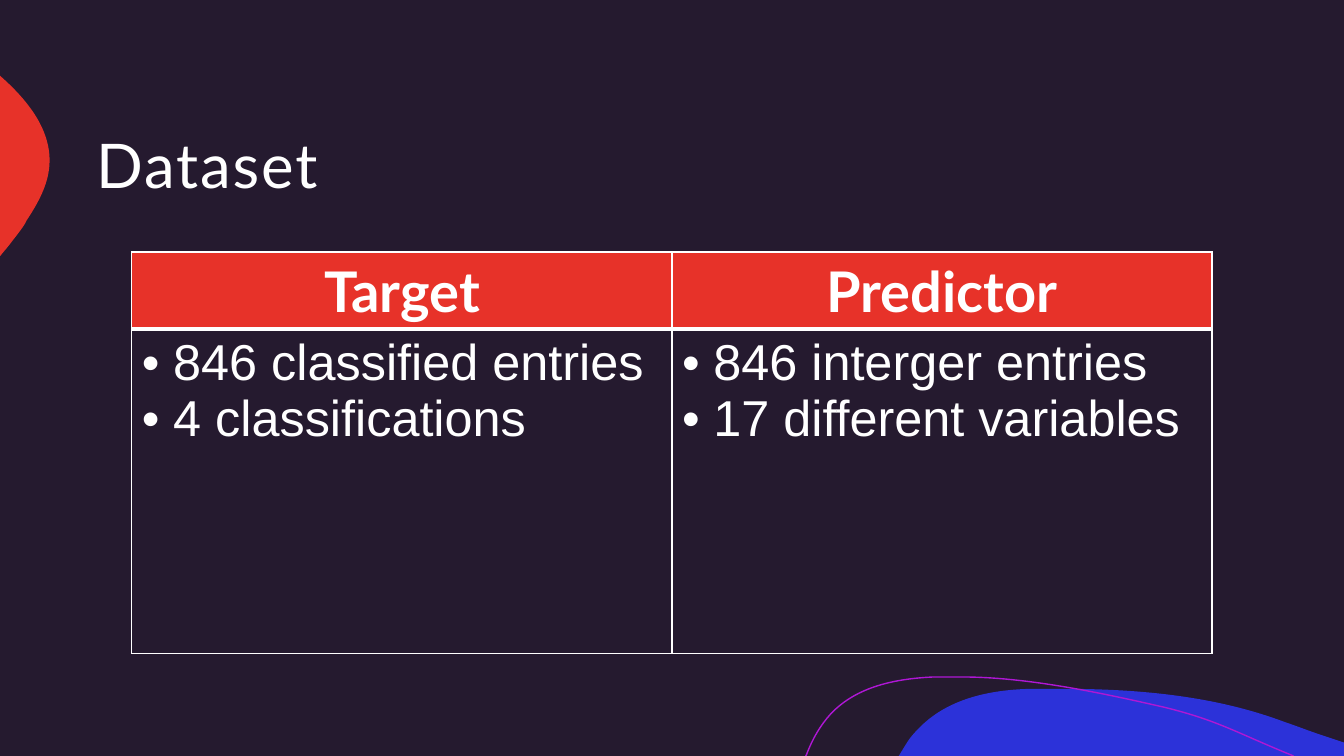
from dataclasses import dataclass
from typing import Optional

from lxml.etree import Element, SubElement
from pptx import Presentation
from pptx.dml.color import RGBColor
from pptx.enum.text import MSO_ANCHOR, PP_ALIGN
from pptx.oxml import parse_xml
from pptx.oxml.ns import nsdecls, qn
from pptx.util import Emu, Inches, Pt

# The slide is a grid of 16 columns by 9 rows of square modules.
COLUMNS, ROWS = 16, 9
MODULE = Inches(7.5) / ROWS

NIGHT = RGBColor(0x25, 0x1A, 0x2F)
WHITE = RGBColor(0xFF, 0xFF, 0xFF)
RED = RGBColor(0xE7, 0x32, 0x29)
BLUE = RGBColor(0x2C, 0x32, 0xD9)
PURPLE = RGBColor(0xAF, 0x17, 0xD5)

HEADING_FONT, BODY_FONT = "Lato", "Arial"
THIN, THICK = 1, 3

Point = tuple[float, float]


@dataclass(frozen=True)
class Blob:
    """An outline in modules; a segment has one point (line) or three (curve)."""
    start: Point
    segments: list[list[Point]]
    fill: Optional[RGBColor] = None
    line: Optional[RGBColor] = None


@dataclass(frozen=True)
class TableColumn:
    heading: str
    bullets: list[str]


BLOBS = [
    Blob((12.65, 8.2), [
        [(13.54, 8.2), (14.45, 8.28), (15.28, 8.59)],
        [(15.43, 8.64), (15.58, 8.7), (15.73, 8.75)],
        [(16, 8.84)], [(16, 9)], [(10.7, 9)], [(10.78, 8.87)],
        [(10.82, 8.8), (10.87, 8.74), (10.93, 8.68)],
        [(11.27, 8.32), (11.78, 8.21), (12.28, 8.2)],
        [(12.4, 8.2), (12.52, 8.2), (12.65, 8.2)],
    ], fill=BLUE),
    Blob((0, 0.9), [
        [(0.01, 0.91)],
        [(0.36, 1.22), (0.65, 1.6), (0.58, 2.04)],
        [(0.55, 2.24), (0.44, 2.44), (0.32, 2.62)],
        [(0.29, 2.69), (0.2, 2.8), (0.1, 2.93)],
        [(0, 3.05)],
    ], fill=RED),
    Blob((9.59, 9), [
        [(9.6, 8.99)],
        [(9.67, 8.8), (9.77, 8.63), (9.89, 8.5)],
        [(10.2, 8.17), (10.67, 8.08), (11.11, 8.06)],
        [(11.46, 8.06)],
        [(12.26, 8.06), (13.2, 8.27), (13.86, 8.42)],
        [(14.51, 8.58), (14.71, 8.72), (15.4, 9)],
    ], line=PURPLE),
]

TABLE_COLUMNS = [
    TableColumn("Target", ["846 classified entries", "4 classifications"]),
    TableColumn("Predictor", ["846 interger entries", "17 different variables"]),
]
TABLE_LEFT, TABLE_TOP, COLUMN_WIDTH = 1.57, 3, 6.43
ROW_HEIGHTS = (0.92, 3.86)


def modules(*counts: float) -> list[Emu]:
    return [Emu(round(count * MODULE)) for count in counts]


def bend_segments(shape, segments: list[list[Point]]) -> None:
    """Turn the straight sides that stand for curves into Bézier curves."""
    sides = list(shape._element.iter(qn("a:lnTo")))
    for side, segment in zip(sides, segments):
        if len(segment) == 1:
            continue
        curve = Element(qn("a:cubicBezTo"))
        for point in segment:
            x, y = modules(*point)
            SubElement(curve, qn("a:pt"), x=str(x - shape.left), y=str(y - shape.top))
        side.getparent().replace(side, curve)


def draw_blob(slide, blob: Blob) -> None:
    builder = slide.shapes.build_freeform(*modules(*blob.start))
    builder.add_line_segments(
        [tuple(modules(*segment[-1])) for segment in blob.segments],
        close=blob.fill is not None,
    )
    shape = builder.convert_to_shape()
    bend_segments(shape, blob.segments)
    shape.shadow.inherit = False
    if blob.fill is None:
        shape.fill.background()
    else:
        shape.fill.solid()
        shape.fill.fore_color.rgb = blob.fill
    if blob.line is None:
        shape.line.fill.background()
    else:
        shape.line.color.rgb = blob.line
        shape.line.width = Pt(1)


def format_run(run, font_name: str, size: float, bold: bool = False) -> None:
    run.font.name = font_name
    run.font.size = Pt(size)
    run.font.bold = bold
    run.font.color.rgb = WHITE


def draw_title(slide, text: str) -> None:
    title = slide.shapes.title
    title.left, title.top, title.width, title.height = modules(1, 1, COLUMNS - 2, 2)
    frame = title.text_frame
    frame.text = text
    frame.vertical_anchor = MSO_ANCHOR.MIDDLE
    frame.margin_left = frame.margin_right = frame.margin_top = Inches(0.12)
    frame.margin_bottom = Inches(0.1)
    paragraph = frame.paragraphs[0]
    paragraph.alignment = PP_ALIGN.LEFT
    paragraph.line_spacing = 0.9
    run = paragraph.runs[0]
    format_run(run, HEADING_FONT, 44)
    run.font._element.set("spc", "140")


def set_borders(cell, top: float, bottom: float) -> None:
    """Draw white borders, thin at the sides; they must come before the fill."""
    properties = cell._tc.get_or_add_tcPr()
    widths = {"lnL": THIN, "lnR": THIN, "lnT": top, "lnB": bottom}
    for position, (tag, width) in enumerate(widths.items()):
        properties.insert(position, parse_xml(
            f'<a:{tag} {nsdecls("a")} w="{Pt(width)}"><a:solidFill>'
            f'<a:srgbClr val="{WHITE}"/></a:solidFill></a:{tag}>'
        ))


def add_bullet(paragraph) -> None:
    properties = paragraph._p.get_or_add_pPr()
    indent = Inches(0.31)
    properties.set("marL", str(indent))
    properties.set("indent", str(-indent))
    SubElement(properties, qn("a:buFont")).set("typeface", BODY_FONT)
    SubElement(properties, qn("a:buChar")).set("char", "•")


def fill_heading(cell, text: str) -> None:
    cell.text_frame.text = text
    cell.fill.solid()
    cell.fill.fore_color.rgb = RED
    set_borders(cell, THIN, THICK)
    paragraph = cell.text_frame.paragraphs[0]
    paragraph.alignment = PP_ALIGN.CENTER
    format_run(paragraph.runs[0], HEADING_FONT, 40, bold=True)


def fill_bullets(cell, bullets: list[str]) -> None:
    cell.text_frame.text = "\n".join(bullets)
    cell.fill.background()
    set_borders(cell, THICK, THIN)
    for paragraph in cell.text_frame.paragraphs:
        add_bullet(paragraph)
        format_run(paragraph.runs[0], BODY_FONT, 36)


def draw_table(slide, columns: list[TableColumn]) -> None:
    frame = slide.shapes.add_table(len(ROW_HEIGHTS), len(columns), *modules(
        TABLE_LEFT, TABLE_TOP, COLUMN_WIDTH * len(columns), sum(ROW_HEIGHTS)
    ))
    table = frame.table
    for row, height in zip(table.rows, modules(*ROW_HEIGHTS)):
        row.height = height
    for index, column in enumerate(columns):
        table.columns[index].width = modules(COLUMN_WIDTH)[0]
        fill_heading(table.cell(0, index), column.heading)
        fill_bullets(table.cell(1, index), column.bullets)


def main() -> None:
    presentation = Presentation()
    presentation.slide_width, presentation.slide_height = modules(COLUMNS, ROWS)
    slide = presentation.slides.add_slide(presentation.slide_layouts[5])
    slide.background.fill.solid()
    slide.background.fill.fore_color.rgb = NIGHT
    for blob in BLOBS:
        draw_blob(slide, blob)
    draw_title(slide, "Dataset")
    draw_table(slide, TABLE_COLUMNS)
    presentation.save("out.pptx")


if __name__ == "__main__":
    main()
